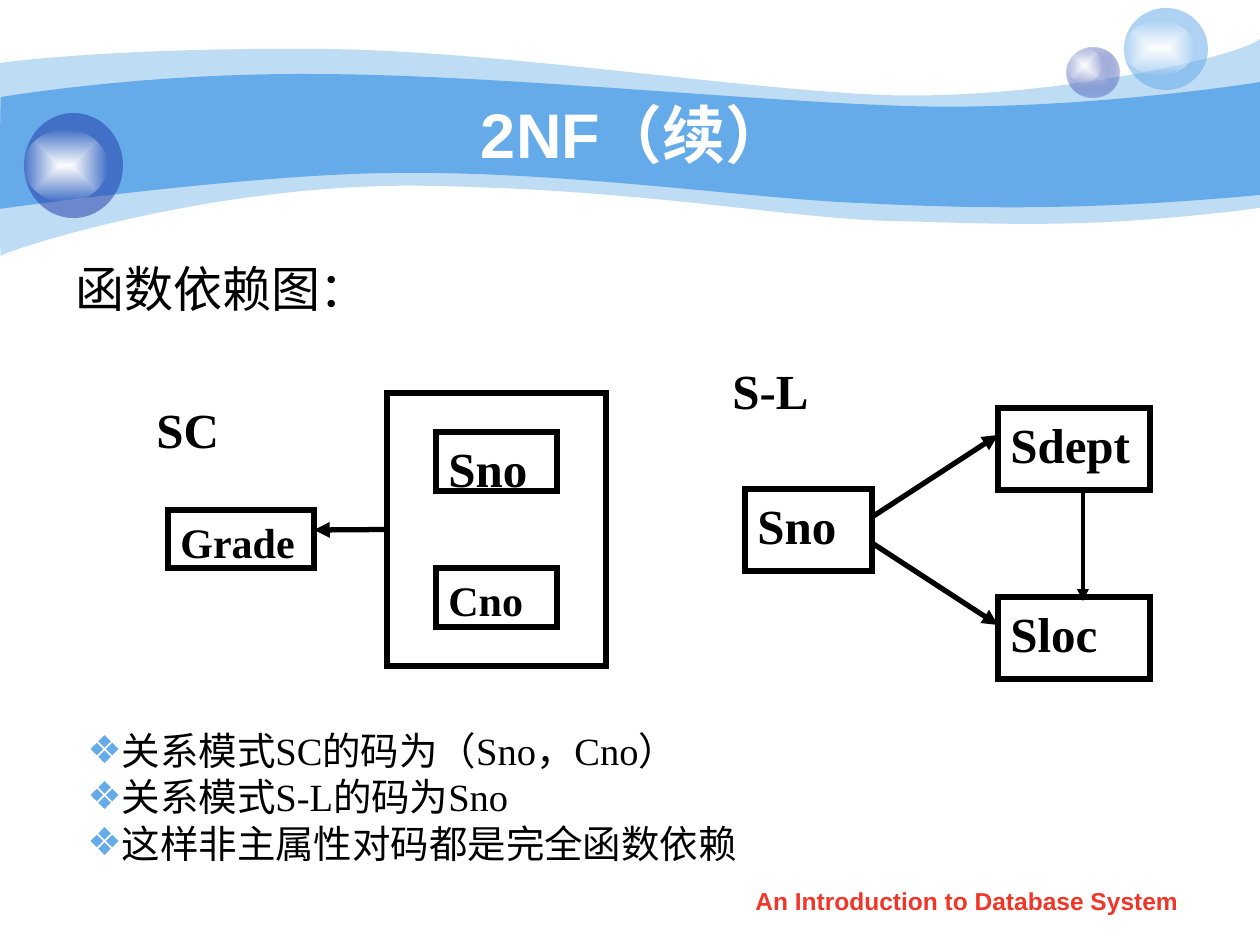
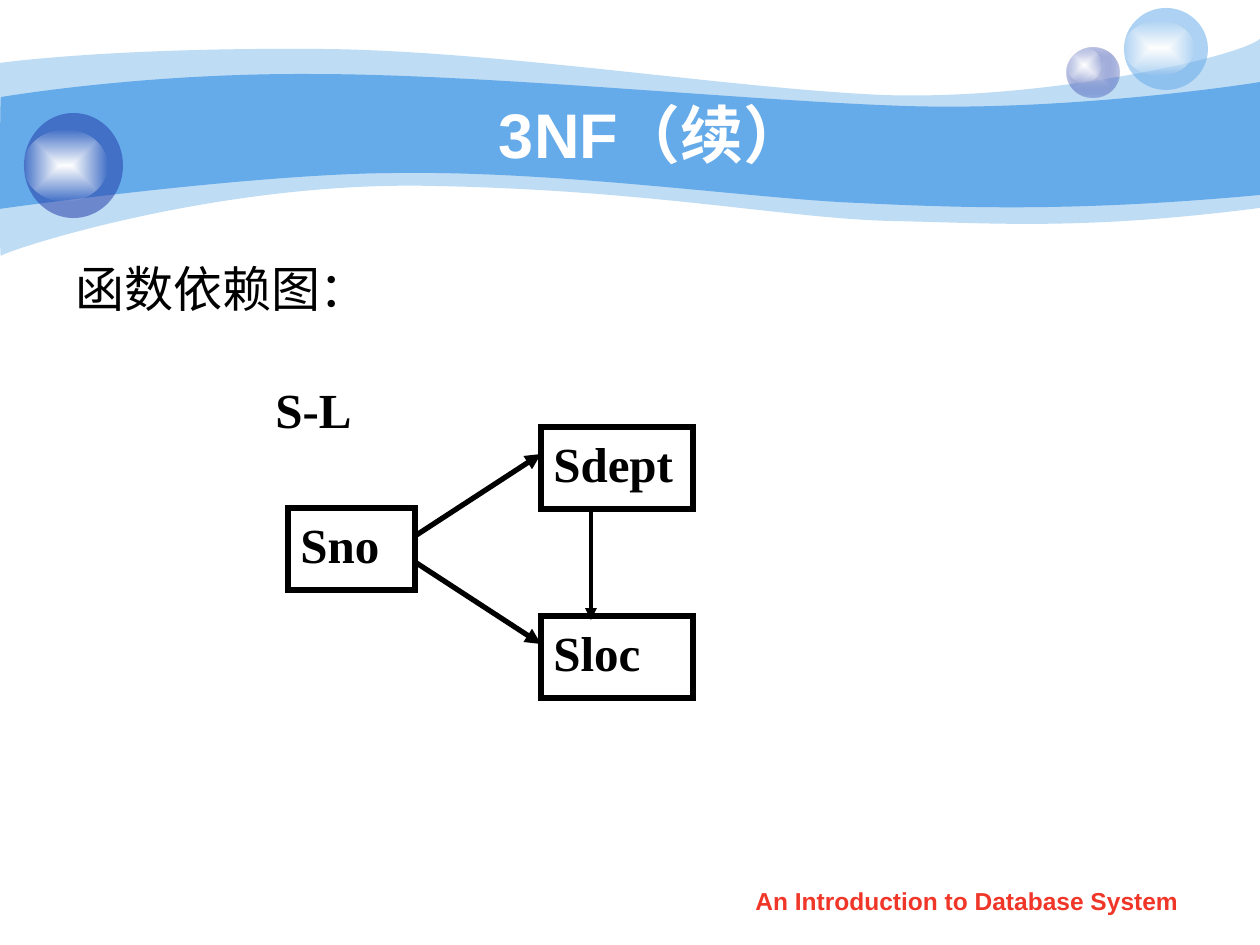
"""Build two slides on second and third normal form with functional dependency diagrams."""
from dataclasses import dataclass
from typing import NamedTuple

from lxml.etree import SubElement
from pptx import Presentation
from pptx.dml.color import RGBColor
from pptx.enum.shapes import MSO_CONNECTOR, MSO_SHAPE
from pptx.enum.text import MSO_ANCHOR, PP_ALIGN
from pptx.oxml import parse_xml
from pptx.oxml.ns import nsdecls, qn
from pptx.util import Pt

PX = 914400 / 126
WIDTH, HEIGHT = 1260, 945


class Style(NamedTuple):
    size: int
    font: str
    color: str
    bold: bool = False


@dataclass(frozen=True)
class Theme:
    sky: str = "65AAE9"
    navy: str = "233DA9"
    mist: str = "C7CEE9"
    white: str = "FFFFFF"
    ink: str = "000000"
    title: Style = Style(36, "Arial", "FFFFFF", True)
    footer: Style = Style(14, "Arial", "F03628", True)
    heading: Style = Style(28, "Arial", "000000")
    attribute: Style = Style(28, "Times New Roman", "000000", True)
    small_attribute: Style = Style(24, "Times New Roman", "000000", True)
    conclusion: Style = Style(22, "Times New Roman", "000000")
    border: float = 3
    thin: float = 2.25


THEME = Theme()
FOOTER = "An Introduction to Database System"
HEADING = "函数依赖图："

WAVES = [
    ((THEME.sky, 41), (0, 63), [
        [(30, 59), (135, 48), (311, 49)],
        [(486, 49), (725, 88), (881, 95)],
        [(1036, 101), (1235, 59), (1260, 39)],
        [(1260, 208)],
        [(1081, 231), (992, 223), (888, 221)],
        [(784, 218), (649, 190), (432, 186)],
        [(216, 181), (5, 251), (1, 256)],
        [(-1, 262), (0, 95), (0, 63)],
    ]),
    ((THEME.sky, 100), (1, 97), [
        [(3, 97), (139, 73), (312, 74)],
        [(486, 74), (750, 101), (905, 106)],
        [(1060, 111), (1230, 87), (1260, 82)],
        [(1260, 195)],
        [(1075, 212), (964, 208), (859, 203)],
        [(755, 199), (563, 171), (399, 173)],
        [(256, 173), (-2, 209), (-1, 209)],
        [(0, 209), (0, 97), (1, 97)],
    ]),
]

GLOW = [(THEME.white, 100), (THEME.white, 0)]
BUBBLES = [
    ((1067, 48, 53, 50), [(THEME.mist, 100), (THEME.navy, 31)]),
    ((1067, 48, 35, 34), GLOW),
    ((1124, 8, 84, 82), [(THEME.sky, 53)]),
    ((1124, 21, 70, 54), GLOW),
    ((24, 113, 99, 105), [(THEME.navy, 53)]),
    ((24, 130, 83, 71), GLOW),
]

SC_LABEL = ("SC", (144, 393, 122, 58))
SC_KEY_FRAME = (387, 393, 219, 273)
SC_ATTRIBUTES = [
    ("Sno", (436, 432, 121, 59), THEME.attribute),
    ("Cno", (436, 568, 121, 59), THEME.small_attribute),
    ("Grade", (168, 510, 146, 58), THEME.small_attribute),
]
GRADE_ARROW = [(387, 530), (314, 530)]

SL_LABEL = ("S-L", (0, 0, 152, 82))
SL_ATTRIBUTES = [
    ("Sno", (25, 135, 127, 82)),
    ("Sdept", (278, 54, 152, 82)),
    ("Sloc", (278, 243, 152, 82)),
]
SL_ARROWS = [[(152, 163), (278, 81)], [(152, 189), (278, 271)]]
SL_TRANSITIVE_SPAN = (139, 247)

SLIDES = [
    {
        "title": ("2NF（续）", 126),
        "has_sc": True,
        "sl_origin": (720, 354),
        "transitive_x": 363,
        "conclusions": [
            "关系模式SC的码为（Sno，Cno）",
            "关系模式S-L的码为Sno",
            "这样非主属性对码都是完全函数依赖",
        ],
    },
    {
        "title": ("3NF（续）", 144),
        "has_sc": False,
        "sl_origin": (263, 373),
        "transitive_x": 328,
        "conclusions": [],
    },
]


def emu(*lengths):
    return [round(length * PX) for length in lengths]


def shifted(place, origin):
    return (place[0] + origin[0], place[1] + origin[1], *place[2:])


def paint(shape, stops):
    colors = [f'<a:srgbClr val="{color}"><a:alpha val="{alpha * 1000}"/></a:srgbClr>'
              for color, alpha in stops]
    if len(colors) == 1:
        xml = f'<a:solidFill {nsdecls("a")}>{colors[0]}</a:solidFill>'
    else:
        marks = "".join(f'<a:gs pos="{i * 100000}">{color}</a:gs>' for i, color in enumerate(colors))
        xml = (f'<a:gradFill {nsdecls("a")} rotWithShape="1"><a:gsLst>{marks}</a:gsLst>'
               '<a:path path="rect"><a:fillToRect l="50000" t="50000" r="50000" b="50000"/>'
               '</a:path></a:gradFill>')
    shape._element.spPr.insert(2, parse_xml(xml))
    shape.line.fill.background()
    shape.shadow.inherit = False


def add_wave(slide, color, start, segments):
    builder = slide.shapes.build_freeform(*emu(*start))
    builder.add_line_segments([emu(*segment[-1]) for segment in segments], close=True)
    wave = builder.convert_to_shape()
    straights = list(wave._element.iter(qn("a:lnTo")))
    for straight, segment in zip(straights, segments):
        if len(segment) == 3:
            curve = parse_xml(f'<a:cubicBezTo {nsdecls("a")}/>')
            for point in segment:
                x, y = emu(*point)
                SubElement(curve, qn("a:pt"), x=str(x - wave.left), y=str(y - wave.top))
            straight.getparent().replace(straight, curve)
    paint(wave, [color])


def add_bullet(paragraph):
    properties = paragraph._p.get_or_add_pPr()
    color = SubElement(properties, qn("a:buClr"))
    SubElement(color, qn("a:srgbClr"), val=THEME.sky)
    SubElement(properties, qn("a:buFont"), typeface="Arial")
    SubElement(properties, qn("a:buChar"), char="❖")


def write(shape, text, style, align=PP_ALIGN.LEFT, anchor=MSO_ANCHOR.TOP, bulleted=False):
    frame = shape.text_frame
    frame.word_wrap = True
    frame.vertical_anchor = anchor
    frame.text = text
    for paragraph in frame.paragraphs:
        paragraph.alignment = align
        if bulleted:
            add_bullet(paragraph)
        for run in paragraph.runs:
            run.font.size = Pt(style.size)
            run.font.name = style.font
            run.font.bold = style.bold
            run.font.color.rgb = RGBColor.from_string(style.color)


def add_text(slide, place, text, style, **layout):
    write(slide.shapes.add_textbox(*emu(*place)), text, style, **layout)


def draw_line(line, weight):
    line.color.rgb = RGBColor.from_string(THEME.ink)
    line.width = Pt(weight)
    outline = line._get_or_add_ln()
    SubElement(outline, qn("a:miter"), lim="800000")
    return outline


def add_frame(slide, place):
    frame = slide.shapes.add_shape(MSO_SHAPE.RECTANGLE, *emu(*place))
    frame.fill.background()
    draw_line(frame.line, THEME.border)
    frame.shadow.inherit = False
    return frame


def add_arrow(slide, start, end, weight=THEME.border):
    arrow = slide.shapes.add_connector(MSO_CONNECTOR.STRAIGHT, *emu(*start, *end))
    SubElement(draw_line(arrow.line, weight), qn("a:tailEnd"), type="triangle")
    SubElement(arrow._element.spPr, qn("a:effectLst"))
    return arrow


def add_backdrop(slide):
    for color, start, segments in WAVES:
        add_wave(slide, color, start, segments)
    for place, stops in BUBBLES:
        paint(slide.shapes.add_shape(MSO_SHAPE.OVAL, *emu(*place)), stops)
    add_text(slide, (719, 880, 496, 44), FOOTER, THEME.footer, align=PP_ALIGN.CENTER)


def add_sc_diagram(slide):
    key_frame = add_frame(slide, SC_KEY_FRAME)
    for attribute, place, style in SC_ATTRIBUTES:
        write(add_frame(slide, place), attribute, style)
    add_arrow(slide, *GRADE_ARROW).begin_connect(key_frame, 1)
    label, place = SC_LABEL
    add_text(slide, place, label, THEME.attribute)


def add_sl_diagram(slide, origin, transitive_x):
    label, place = SL_LABEL
    add_text(slide, shifted(place, origin), label, THEME.attribute)
    for attribute, place in SL_ATTRIBUTES:
        write(add_frame(slide, shifted(place, origin)), attribute, THEME.attribute)
    for ends in SL_ARROWS:
        add_arrow(slide, *(shifted(end, origin) for end in ends))
    transitive = [shifted((transitive_x, y), origin) for y in SL_TRANSITIVE_SPAN]
    add_arrow(slide, *transitive, weight=THEME.thin)


def main():
    deck = Presentation()
    deck.slide_width, deck.slide_height = emu(WIDTH, HEIGHT)
    for content in SLIDES:
        slide = deck.slides.add_slide(deck.slide_layouts[6])
        add_backdrop(slide)
        title, left = content["title"]
        add_text(slide, (left, 94, 1018, 78), title, THEME.title,
                 align=PP_ALIGN.CENTER, anchor=MSO_ANCHOR.MIDDLE)
        add_text(slide, (63, 252, 1134, 80), HEADING, THEME.heading)
        if content["has_sc"]:
            add_sc_diagram(slide)
        add_sl_diagram(slide, content["sl_origin"], content["transitive_x"])
        if content["conclusions"]:
            add_text(slide, (75, 721, 682, 151), "\n".join(content["conclusions"]),
                     THEME.conclusion, anchor=MSO_ANCHOR.MIDDLE, bulleted=True)
    deck.save("out.pptx")


if __name__ == "__main__":
    main()
